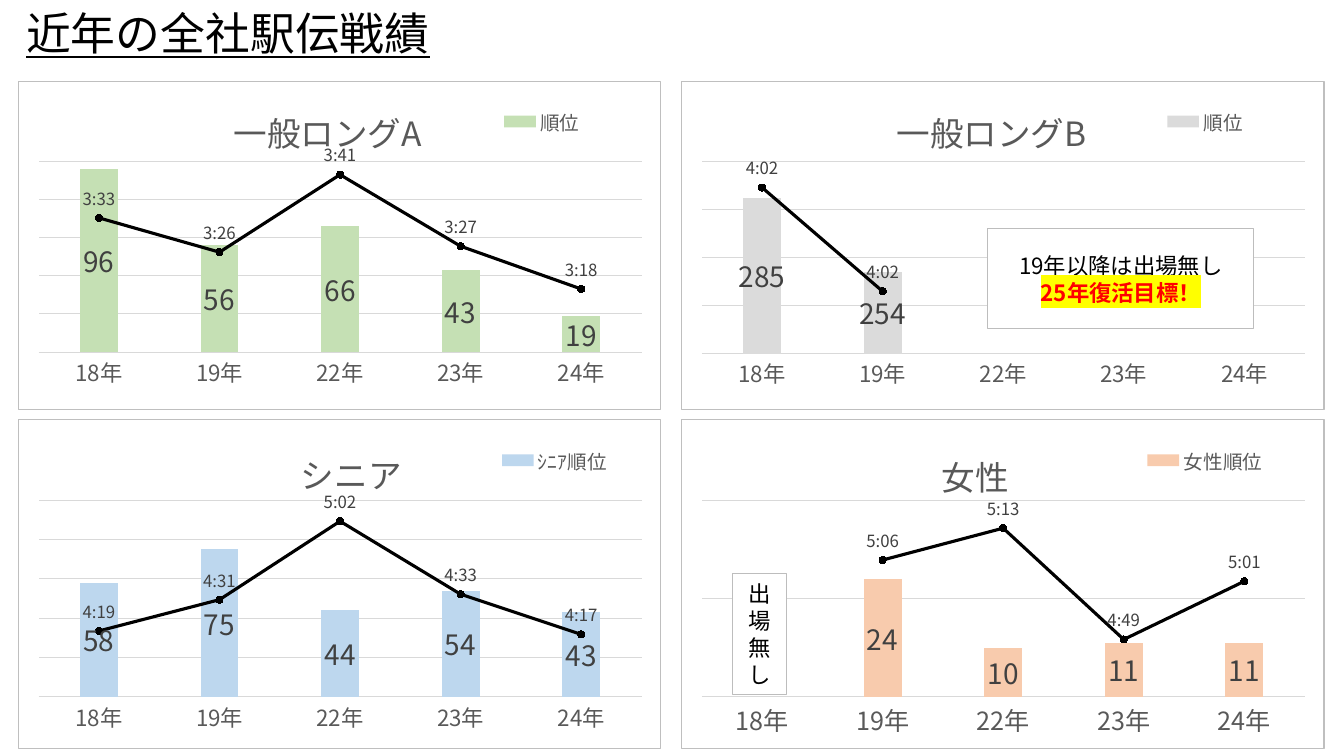
from lxml.etree import SubElement
from pptx import Presentation
from pptx.chart.data import CategoryChartData
from pptx.dml.color import RGBColor
from pptx.enum.chart import (XL_CHART_TYPE as ChartType, XL_LABEL_POSITION as LabelSpot,
                             XL_LEGEND_POSITION as LegendSpot, XL_MARKER_STYLE as Marker,
                             XL_TICK_LABEL_POSITION as TickLabels, XL_TICK_MARK as Tick)
from pptx.enum.shapes import MSO_SHAPE as Preset
from pptx.enum.text import MSO_ANCHOR as Anchor, PP_ALIGN as Align
from pptx.oxml import parse_xml
from pptx.oxml.ns import nsdecls, qn
from pptx.util import Pt

FONT = "Noto Sans CJK JP"
HEADING = "近年の全社駅伝戦績"
YEARS = ["18年", "19年", "22年", "23年", "24年"]
GAP = None

# Ranks are places; paces are fractions of a day, shown as m:ss per km.
# Title and legend spots and the plot height are fractions of the chart.
RACES = [
    dict(title="一般ロングA", title_at=(0.325, 0.05), legend_at=(0.745, 0.08, 0.14, 0.08),
         rank="順位", ranks=[96, 56, 66, 43, 19], rank_range=(0, 100), color="C5E0B4",
         pace="Aﾍﾟｰｽ/km", paces=[0.002467, 0.002386, 0.002569, 0.0024, 0.002299],
         pace_range=(0.00215, 0.0026), plot_height=0.58, year_size=16),
    dict(title="一般ロングB", title_at=(0.325, 0.05), legend_at=(0.745, 0.08, 0.14, 0.08),
         rank="順位", ranks=[285, 254, GAP, GAP, GAP], rank_range=(220, 300), color="DBDBDB",
         pace="Bﾍﾟｰｽ/km", paces=[0.002812, 0.002808, GAP, GAP, GAP],
         pace_range=(0.0028056, 0.002813), plot_height=0.585, year_size=16),
    dict(title="シニア", title_at=(0.43, 0.06), legend_at=(0.745, 0.08, 0.18, 0.08),
         rank="ｼﾆｱ順位", ranks=[58, 75, 44, 54, 43], rank_range=(0, 100), color="BDD7EE",
         pace="シﾍﾟｰｽ/km", paces=[0.003002, 0.003145, 0.003504, 0.00317, 0.002986],
         pace_range=(0.0027, 0.0036), plot_height=0.599, year_size=16),
    dict(title="女性", title_at=(0.395, 0.065), legend_at=(0.715, 0.08, 0.2, 0.08),
         rank="女性順位", ranks=[GAP, 24, 10, 11, 11], rank_range=(0, 40), color="F8CBAD",
         pace="女ﾍﾟｰｽ/km", paces=[GAP, 0.003548, 0.003629, 0.003346, 0.003494],
         pace_range=(0.0032, 0.0037), plot_height=0.599, year_size=18),
]
# Notes: left, top, width, height, then (text, highlighted) lines
NOTES = [
    (705.6, 163.4, 190, 71.3, [("19年以降は出場無し", False), ("25年復活目標！", True)]),
    (523.4, 409.7, 38.2, 86.4, [("出場無し", False)]),
]
LEFT, TOP, WIDTH, HEIGHT = 13, 57.6, 459.4, 235.4
STEP_X, STEP_Y = 473.7, 241.9


def rgb(value):
    return RGBColor.from_string(value)


def style(font, size, color):
    font.size, font.name = Pt(size), FONT
    font.color.rgb = rgb(color)
    SubElement(font._rPr, qn("a:ea"), typeface=FONT)


def outline(line, color, width=0.75):
    line.color.rgb, line.width = rgb(color), Pt(width)


def place(part, spot, before=None):
    """Give a chart part a fixed place: x, y and perhaps width, height."""
    for old in part.findall(qn("c:layout")):
        part.remove(old)
    target = "" if before else '<c:layoutTarget val="inner"/>'
    modes = "".join(f'<c:{axis}Mode val="edge"/>' for axis in "xy")
    sizes = "".join(f'<c:{key} val="{value}"/>' for key, value in zip("xywh", spot))
    layout = parse_xml(f'<c:layout {nsdecls("c")}><c:manualLayout>{target}{modes}{sizes}'
                       '</c:manualLayout></c:layout>')
    if before:
        part.find(qn(before)).addnext(layout)
    else:
        part.insert(0, layout)


def move_pace_to_line(chart, low, high):
    """Turn the second series into a line on a right-hand axis."""
    area = chart._chartSpace.chart.plotArea
    bars = area.find(qn("c:barChart"))
    series = bars.findall(qn("c:ser"))[1]
    for bar_only in series.findall(qn("c:invertIfNegative")):
        series.remove(bar_only)
    line = parse_xml(f'<c:lineChart {nsdecls("c")}><c:grouping val="standard"/>'
                     '<c:varyColors val="0"/><c:marker val="1"/>'
                     '<c:axId val="501"/><c:axId val="502"/></c:lineChart>')
    line.insert(2, series)
    bars.addnext(line)
    last = area.findall(qn("c:valAx"))[-1]
    for kind, own, other, limits, deleted, side, crosses in (
            ("catAx", 501, 502, "", 1, "b", "autoZero"),
            ("valAx", 502, 501, f'<c:max val="{high}"/><c:min val="{low}"/>', 0, "r", "max")):
        axis = parse_xml(
            f'<c:{kind} {nsdecls("c", "a")}><c:axId val="{own}"/><c:scaling>'
            f'<c:orientation val="minMax"/>{limits}</c:scaling><c:delete val="{deleted}"/>'
            f'<c:axPos val="{side}"/><c:numFmt formatCode="m:ss" sourceLinked="0"/>'
            '<c:majorTickMark val="out"/><c:minorTickMark val="none"/><c:tickLblPos val="none"/>'
            '<c:spPr><a:ln><a:noFill/></a:ln></c:spPr>'
            f'<c:crossAx val="{other}"/><c:crosses val="{crosses}"/></c:{kind}>')
        last.addnext(axis)
        last = axis


def label(series, size, spot, number_format):
    labels = series.data_labels
    labels.show_value, labels.position = True, spot
    labels.number_format, labels.number_format_is_linked = number_format, False
    style(labels.font, size, "404040")


def add_race(page, race, left, top):
    data = CategoryChartData()
    data.categories = YEARS
    data.add_series(race["rank"], race["ranks"])
    data.add_series(race["pace"], race["paces"], "m:ss")
    chart = page.shapes.add_chart(ChartType.COLUMN_CLUSTERED, Pt(left), Pt(top),
                                  Pt(WIDTH), Pt(HEIGHT), data).chart
    style(chart.font, 11, "000000")
    chart._chartSpace.chart.addnext(parse_xml(
        f'<c:spPr {nsdecls("c", "a")}><a:solidFill><a:srgbClr val="FFFFFF"/></a:solidFill>'
        '<a:ln w="9525"><a:solidFill><a:srgbClr val="BFBFBF"/></a:solidFill></a:ln></c:spPr>'))

    # Axes
    years, ranks = chart.category_axis, chart.value_axis
    years.major_tick_mark = ranks.major_tick_mark = Tick.NONE
    style(years.tick_labels.font, race["year_size"], "595959")
    outline(years.format.line, "D9D9D9")
    ranks.minimum_scale, ranks.maximum_scale = race["rank_range"]
    ranks.major_unit = 20
    ranks.tick_label_position = TickLabels.NONE
    ranks.format.line.fill.background()
    outline(ranks.major_gridlines.format.line, "D9D9D9")

    # Rank columns and pace line
    move_pace_to_line(chart, *race["pace_range"])
    columns, lines = chart.plots
    columns.gap_width, columns.vary_by_categories = 219, False
    rank, pace = columns.series[0], lines.series[0]
    rank.format.fill.solid()
    rank.format.fill.fore_color.rgb = rgb(race["color"])
    label(rank, 20, LabelSpot.CENTER, "General")
    outline(pace.format.line, "000000", 2.25)
    pace.smooth = False
    pace.marker.style, pace.marker.size = Marker.CIRCLE, 5
    pace.marker.format.fill.solid()
    pace.marker.format.fill.fore_color.rgb = rgb("5B9BD5")
    label(pace, 12, LabelSpot.ABOVE, "m:ss")

    # Title, legend for the ranks only, and plot area
    title = chart.chart_title
    title.text_frame.text = race["title"]
    span = title.text_frame.paragraphs[0].runs[0]
    style(span.font, 24, "595959")
    span.font.bold = False
    place(title._element, race["title_at"], "c:tx")
    chart.has_legend = True
    legend = chart.legend
    legend.position, legend.include_in_layout = LegendSpot.BOTTOM, False
    style(legend.font, 14, "595959")
    legend._element.find(qn("c:legendPos")).addnext(parse_xml(
        f'<c:legendEntry {nsdecls("c")}><c:idx val="1"/><c:delete val="1"/></c:legendEntry>'))
    place(legend._element, race["legend_at"], "c:legendEntry")
    place(chart._chartSpace.chart.plotArea, (0.031, 0.245, 0.939, race["plot_height"]))


def add_note(page, left, top, width, height, lines):
    box = page.shapes.add_shape(Preset.RECTANGLE, Pt(left), Pt(top), Pt(width), Pt(height))
    box.shadow.inherit = False
    box.fill.solid()
    box.fill.fore_color.rgb = rgb("FFFFFF")
    outline(box.line, "BDBDBD")
    frame = box.text_frame
    frame.word_wrap, frame.vertical_anchor = True, Anchor.MIDDLE
    for index, (text, highlighted) in enumerate(lines):
        para = frame.add_paragraph() if index else frame.paragraphs[0]
        para.alignment = Align.CENTER
        span = para.add_run()
        span.text = text
        style(span.font, 16, "FF0000" if highlighted else "000000")
        if highlighted:
            span.font.bold = True
            span.font._rPr.find(qn("a:solidFill")).addnext(parse_xml(
                f'<a:highlight {nsdecls("a")}><a:srgbClr val="FFFF00"/></a:highlight>'))


deck = Presentation()
deck.slide_width, deck.slide_height = Pt(960), Pt(540)
page = deck.slides.add_slide(deck.slide_layouts[5])

# Heading
heading = page.shapes.title
heading.left, heading.top, heading.width, heading.height = Pt(11.5), Pt(0), Pt(440.6), Pt(46)
heading.text_frame.text = HEADING
heading.text_frame.vertical_anchor = Anchor.MIDDLE
para = heading.text_frame.paragraphs[0]
para.alignment = Align.LEFT
style(para.font, 32, "000000")
para.font.underline = True

# Two by two charts, then the notes over them
for index, race in enumerate(RACES):
    row, column = divmod(index, 2)
    add_race(page, race, LEFT + column * STEP_X, TOP + row * STEP_Y)
for note in NOTES:
    add_note(page, *note)

deck.save("out.pptx")
